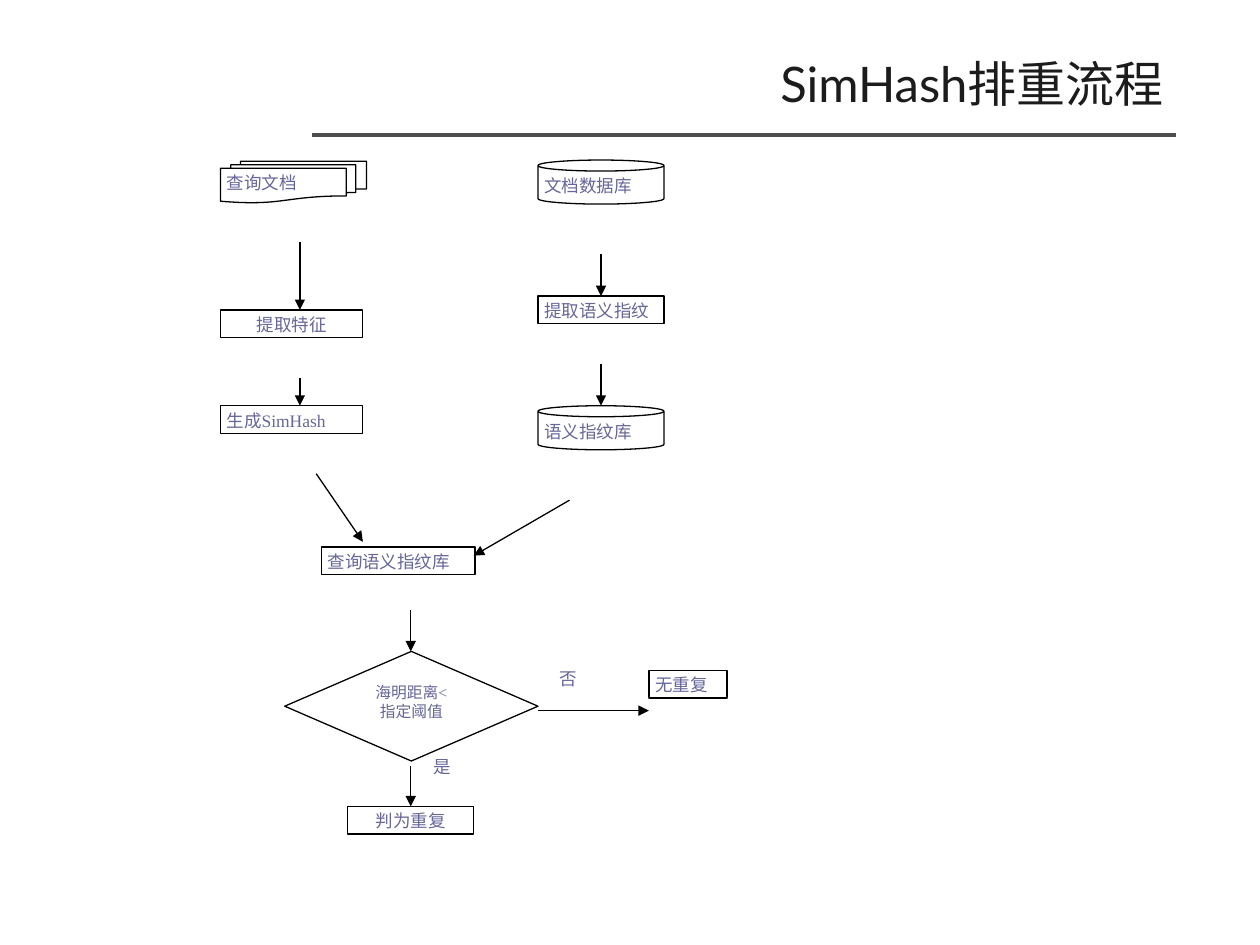
from typing import NamedTuple

from lxml import etree
from pptx import Presentation, util as u
from pptx.dml.color import RGBColor
from pptx.enum import shapes, text
from pptx.oxml.ns import qn

COLORS = {"paper": "FFFFFF", "ink": "000000", "label": "666699", "title": "1C1C1C", "rule": "4D4D4D"}
KIND = shapes.MSO_SHAPE
ALIGN = text.PP_ALIGN
BAR = 0.22
CAN = 0.35


class Node(NamedTuple):
    label: str
    left: float
    top: float
    width: float
    height: float = BAR
    kind: KIND = KIND.RECTANGLE
    align: ALIGN = ALIGN.JUSTIFY
    size: float = 10


class Line(NamedTuple):
    x1: float
    y1: float
    x2: float
    y2: float
    color: str = "ink"
    width: float = 0.75
    arrow: bool = True


NODES = [
    Node("查询文档", 1.75, 1.28, 1.16, 0.33, KIND.FLOWCHART_MULTIDOCUMENT),
    Node("提取特征", 1.75, 2.46, 1.13, align=ALIGN.CENTER),
    Node("生成SimHash", 1.75, 3.22, 1.13),
    Node("文档数据库", 4.27, 1.27, 1, CAN, KIND.CAN),
    Node("提取语义指纹", 4.27, 2.35, 1),
    Node("语义指纹库", 4.27, 3.22, 1, CAN, KIND.CAN),
    Node("查询语义指纹库", 2.55, 4.34, 1.22),
    Node("海明距离<\n指定阈值", 2.26, 5.17, 2.01, 0.87, KIND.DIAMOND, ALIGN.CENTER, 9),
    Node("判为重复", 2.76, 6.4, 1, align=ALIGN.CENTER),
    Node("无重复", 5.15, 5.32, 0.62),
]
ANSWERS = [Node("是", 3.39, 5.97, 1, 0.54), Node("否", 4.39, 5.27, 0.63, 0.54)]
LINES = [
    Line(2.48, 1.07, 9.33, 1.07, "rule", 0, False),
    Line(2.38, 1.92, 2.38, 2.46),
    Line(2.38, 3, 2.38, 3.22),
    Line(4.77, 2.02, 4.77, 2.35),
    Line(4.77, 2.89, 4.77, 3.22),
    Line(2.51, 3.76, 2.88, 4.3),
    Line(4.52, 3.97, 3.76, 4.41),
    Line(3.26, 4.84, 3.26, 5.17),
    Line(3.26, 6.08, 3.26, 6.4),
    Line(4.27, 5.64, 5.15, 5.64),
]


def rgb(name: str) -> RGBColor:
    """Return the named colour."""
    return RGBColor.from_string(COLORS[name])


def write(shape, words: str, *, size: float = 10, font: str = "Times New Roman", color: str = "label",
          align: ALIGN = ALIGN.JUSTIFY, anchor=text.MSO_ANCHOR.TOP,
          inset: tuple[float, float] = (0.05, 0.03)) -> None:
    """Fill a shape with formatted text, one paragraph per line."""
    frame = shape.text_frame
    frame.word_wrap = True
    frame.vertical_anchor = anchor
    frame.margin_left = frame.margin_right = u.Inches(inset[0])
    frame.margin_top = frame.margin_bottom = u.Inches(inset[1])
    frame.text = words
    for paragraph in frame.paragraphs:
        paragraph.alignment = align
        for run in paragraph.runs:
            run.font.size = u.Pt(size)
            run.font.name = font
            run.font.color.rgb = rgb(color)


def draw_node(slide, node: Node) -> None:
    """Draw one outlined step of the flow."""
    shape = slide.shapes.add_shape(node.kind, *map(u.Inches, node[1:5]))
    shape.shadow.inherit = False
    shape.fill.solid()
    shape.fill.fore_color.rgb = rgb("paper")
    shape.line.color.rgb = rgb("ink")
    shape.line.width = u.Pt(0.75)
    write(shape, node.label, size=node.size, align=node.align)


def draw_answer(slide, answer: Node) -> None:
    """Draw the label of one branch."""
    write(slide.shapes.add_textbox(*map(u.Inches, answer[1:5])), answer.label)


def draw_line(slide, line: Line) -> None:
    """Draw a straight line, with an arrowhead at its end if asked."""
    connector = slide.shapes.add_connector(shapes.MSO_CONNECTOR.STRAIGHT, *map(u.Inches, line[:4]))
    connector.line.color.rgb = rgb(line.color)
    connector.line.width = u.Pt(line.width)
    if line.arrow:
        etree.SubElement(connector.line._get_or_add_ln(), qn("a:tailEnd"), type="triangle")
    etree.SubElement(connector._element.spPr, qn("a:effectLst"))


def main() -> None:
    """Build the flow chart slide and save it."""
    presentation = Presentation()
    presentation.slide_width, presentation.slide_height = u.Inches(10), u.Inches(7.5)
    slide = presentation.slides.add_slide(presentation.slide_layouts[6])
    title = slide.shapes.add_textbox(*map(u.Inches, (0.69, 0.35, 8.64, 0.62)))
    write(title, "SimHash排重流程", size=28, font="Lato", color="title", align=ALIGN.RIGHT,
          anchor=text.MSO_ANCHOR.MIDDLE, inset=(0.1, 0.05))
    for node in NODES:
        draw_node(slide, node)
    for answer in ANSWERS:
        draw_answer(slide, answer)
    for line in LINES:
        draw_line(slide, line)
    presentation.save("out.pptx")


if __name__ == "__main__":
    main()
